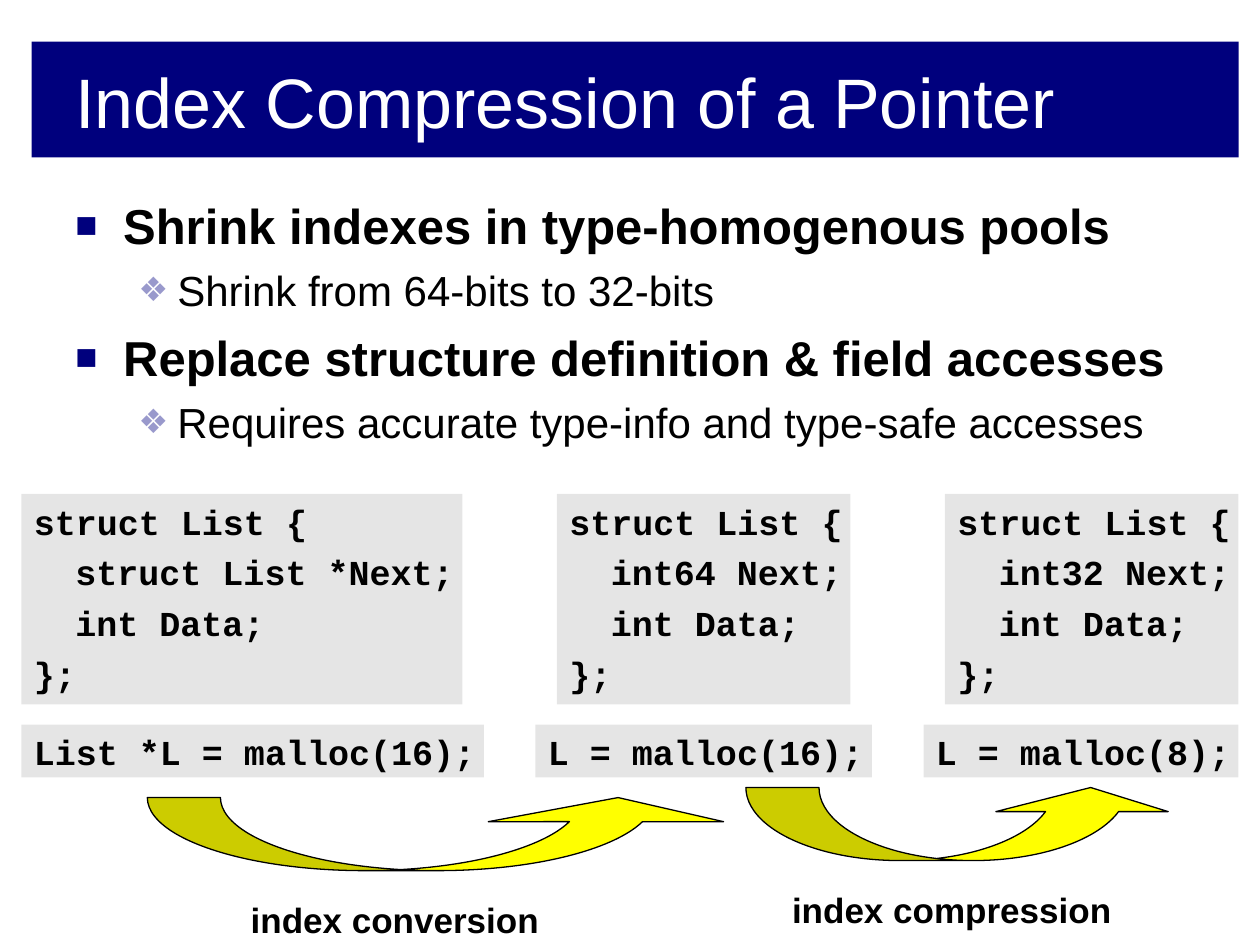
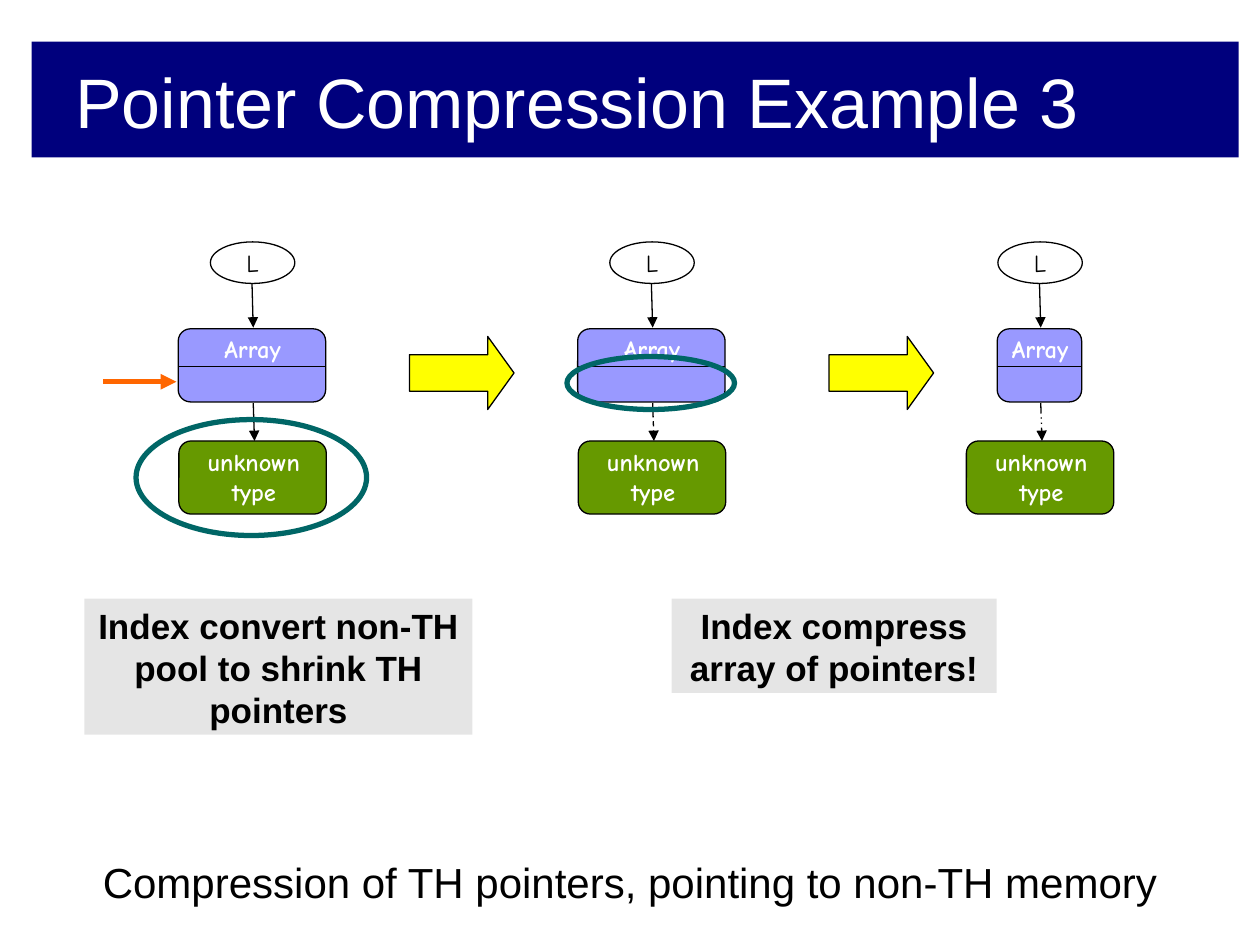
from lxml import etree
from pptx import Presentation
from pptx.dml.color import RGBColor
from pptx.enum.dml import MSO_LINE_DASH_STYLE as DASH
from pptx.enum.shapes import MSO_CONNECTOR as CONNECTOR, MSO_SHAPE as SHAPE
from pptx.enum.text import MSO_ANCHOR as ANCHOR, PP_ALIGN as ALIGN
from pptx.oxml.ns import qn
from pptx.util import Inches, Pt

NAVY, LAVENDER, PERIWINKLE = "00007D", "9999CC", "9999FF"
GREEN, TEAL, YELLOW, ORANGE = "669900", "006666", "FFFF00", "FF6600"
BLACK, WHITE = "000000", "FFFFFF"
SANS, HAND, CODE = "Arial", "Comic Neue", "Courier New"
CODE_INDENT = 0.33


def color(hex_string):
    """Turn a hex string into a colour."""
    return RGBColor.from_string(hex_string)


def add_child(parent, tag, **attributes):
    """Append a drawing element with the given attributes."""
    return etree.SubElement(parent, qn(tag), attributes)


def add_figure(slide, kind, box, fill=None, line=None, width=0.75, adjustments=()):
    """Add a preset shape with its fill and outline."""
    shape = slide.shapes.add_shape(kind, *map(Inches, box))
    shape.shadow.inherit = False
    for index, value in enumerate(adjustments):
        shape.adjustments[index] = value
    if fill:
        shape.fill.solid()
        shape.fill.fore_color.rgb = color(fill)
    else:
        shape.fill.background()
    if line:
        shape.line.color.rgb = color(line)
        shape.line.width = Pt(width)
    else:
        shape.line.fill.background()
    return shape


def add_panel(slide, box):
    """Add a rectangle of ten percent black."""
    panel = add_figure(slide, SHAPE.RECTANGLE, box, BLACK)
    tint = panel._element.spPr.find(qn("a:solidFill"))[0]
    add_child(tint, "a:alpha", val="10000")
    return panel


def add_text_box(slide, box):
    """Add an empty text box."""
    return slide.shapes.add_textbox(*map(Inches, box))


def add_paragraph(frame, text, size, font=SANS, ink=BLACK, bold=False,
                  align=ALIGN.LEFT, before=0):
    """Fill the empty first paragraph or append a new one."""
    paragraph = frame.paragraphs[0]
    if paragraph.runs:
        paragraph = frame.add_paragraph()
    paragraph.alignment = align
    paragraph.space_before = Pt(before)
    run = paragraph.add_run()
    run.text = text
    run.font.size, run.font.name, run.font.bold = Pt(size), font, bold
    run.font.color.rgb = color(ink)
    return paragraph


def write(shape, lines, size, anchor=ANCHOR.TOP, wrap=True, right=0.1, **style):
    """Write lines of one style into a shape."""
    frame = shape.text_frame
    frame.word_wrap = wrap
    frame.vertical_anchor = anchor
    frame.margin_right = Inches(right)
    return [add_paragraph(frame, line, size, **style) for line in lines]


def set_indent(paragraph, margin, hanging=0.0):
    """Set the left margin and the hanging indent."""
    properties = paragraph._p.get_or_add_pPr()
    properties.set("marL", str(Inches(margin)))
    properties.set("indent", str(-Inches(hanging)))
    return properties


def add_bullet(frame, text, level):
    """Add a bulleted line of the given level."""
    size, bold, before, margin, hanging, ink, scale, sign = (
        (28, True, 7, 0.38, 0.38, NAVY, "75000", "■"),
        (24, False, 6, 0.81, 0.31, LAVENDER, "80000", "❖"),
    )[level]
    paragraph = add_paragraph(frame, text, size, bold=bold, before=before)
    paragraph.level = level
    properties = set_indent(paragraph, margin, hanging)
    add_child(add_child(properties, "a:buClr"), "a:srgbClr", val=ink)
    add_child(properties, "a:buSzPct", val=scale)
    add_child(properties, "a:buFont", typeface=SANS)
    add_child(properties, "a:buChar", char=sign)


def add_line(slide, start, end, ink=BLACK, width=0.75, dash=None, arrow=True):
    """Draw a straight line, with an arrowhead at its end if wanted."""
    line = slide.shapes.add_connector(CONNECTOR.STRAIGHT, *map(Inches, start + end))
    line.line.color.rgb = color(ink)
    line.line.width = Pt(width)
    if dash:
        line.line.dash_style = dash
    properties = line._element.spPr
    if arrow:
        add_child(properties.find(qn("a:ln")), "a:tailEnd", type="triangle")
    add_child(properties, "a:effectLst")


def add_code(slide, left, top, width, height, lines):
    """Add a panel of code whose inner lines are indented."""
    panel = add_panel(slide, (left, top, width, height))
    paragraphs = write(panel, lines, 20, right=0, font=CODE, bold=True, before=5)
    for paragraph in paragraphs[1:-1]:
        set_indent(paragraph, CODE_INDENT)


def add_step(slide, box, caption, caption_box):
    """Add a curved arrow and the caption below it."""
    width, height = box[2:]
    shaft = 0.2 * width / height
    add_figure(slide, SHAPE.CURVED_UP_ARROW, box, YELLOW, BLACK,
               adjustments=(shaft, 2 * shaft, 0.33))
    write(add_text_box(slide, caption_box), [caption], 20, right=0, bold=True,
          align=ALIGN.CENTER, before=5)


def add_note(slide, box, text):
    """Add a panel with a bold centred remark."""
    write(add_panel(slide, box), [text], 20, bold=True, align=ALIGN.CENTER, before=5)


def add_pool(slide, center, array_width, dash=None):
    """Draw a root pointer, its array and the memory it points to."""
    left = center - array_width / 2
    add_figure(slide, SHAPE.ROUNDED_RECTANGLE, (left, 2.61, array_width, 0.58),
               PERIWINKLE, BLACK)
    add_line(slide, (left, 2.91), (left + array_width, 2.91), arrow=False)
    root = add_figure(slide, SHAPE.OVAL, (center - 0.33, 1.92, 0.67, 0.33), WHITE, BLACK)
    write(root, ["L"], 14, ANCHOR.MIDDLE, False, font=HAND, align=ALIGN.CENTER)
    add_line(slide, (center, 2.25), (center + 0.01, 2.6))
    add_line(slide, (center + 0.01, 3.2), (center + 0.02, 3.5), dash=dash)
    label = {"font": HAND, "ink": WHITE, "bold": True, "align": ALIGN.CENTER}
    write(add_text_box(slide, (center - 0.32, 2.6, 0.65, 0.34)), ["Array"], 14,
          wrap=False, **label)
    add_figure(slide, SHAPE.ROUNDED_RECTANGLE, (center - 0.58, 3.5, 1.17, 0.58),
               GREEN, BLACK)
    write(add_text_box(slide, (center - 0.5, 3.5, 1.03, 0.57)), ["unknown", "type"],
          14, **label)


def add_titled_slide(presentation, title):
    """Add a blank slide with the title band."""
    slide = presentation.slides.add_slide(presentation.slide_layouts[6])
    add_figure(slide, SHAPE.RECTANGLE, (0.25, 0.33, 9.58, 0.92), NAVY)
    write(add_text_box(slide, (0.5, 0.17, 9, 1.25)), [title], 40, ANCHOR.MIDDLE,
          ink=WHITE)
    return slide


def build_index_compression(presentation):
    """Build the slide on shrinking pointers to indexes."""
    slide = add_titled_slide(presentation, "Index Compression of a Pointer")
    frame = add_text_box(slide, (0.5, 1.5, 9, 5.25)).text_frame
    frame.word_wrap = True
    for level, text in (
        (0, "Shrink indexes in type-homogenous pools"),
        (1, "Shrink from 64-bits to 32-bits"),
        (0, "Replace structure definition & field accesses"),
        (1, "Requires accurate type-info and type-safe accesses"),
    ):
        add_bullet(frame, text, level)
    for left, width, field in ((0.17, 3.5, "struct List *Next;"),
                               (4.42, 2.33, "int64 Next;"),
                               (7.5, 2.33, "int32 Next;")):
        add_code(slide, left, 3.92, width, 1.67,
                 ["struct List {", field, "int Data;", "};"])
    for left, width, call in ((0.17, 3.67, "List *L = malloc(16);"),
                              (4.25, 2.67, "L = malloc(16);"),
                              (7.33, 2.5, "L = malloc(8);")):
        add_code(slide, left, 5.75, width, 0.42, [call])
    add_step(slide, (1.17, 6.33, 4.67, 0.58), "index conversion",
             (1.25, 7.08, 3.67, 0.42))
    add_step(slide, (5.92, 6.25, 3.42, 0.58), "index compression",
             (5.67, 7, 3.67, 0.42))


def build_example(presentation):
    """Build the slide with the three stages of an array of pointers."""
    slide = add_titled_slide(presentation, "Pointer Compression Example 3")
    add_pool(slide, 2, 1.17)
    add_pool(slide, 5.17, 1.17, DASH.DASH)
    add_pool(slide, 8.25, 0.67, DASH.DASH_DOT_DOT)
    add_note(slide, (0.67, 4.75, 3.08, 1.08),
             "Index convert non-TH pool to shrink TH pointers")
    add_note(slide, (5.33, 4.75, 2.58, 0.75), "Index compress array of pointers!")
    for highlight in ((1.08, 3.33, 1.83, 0.92), (4.5, 2.83, 1.33, 0.42)):
        add_figure(slide, SHAPE.OVAL, highlight, line=TEAL, width=3)
    for left in (3.25, 6.58):
        add_figure(slide, SHAPE.RIGHT_ARROW, (left, 2.67, 0.83, 0.58), YELLOW, BLACK,
                   adjustments=(0.5, 0.36))
    add_line(slide, (0.82, 3.03), (1.4, 3.03), ORANGE, 3)
    write(add_text_box(slide, (0, 6.75, 10, 0.5)),
          ["Compression of TH pointers, pointing to non-TH memory"], 24,
          align=ALIGN.CENTER)


def main():
    """Build and save the presentation."""
    presentation = Presentation()
    presentation.slide_width, presentation.slide_height = Inches(10), Inches(7.5)
    build_index_compression(presentation)
    build_example(presentation)
    presentation.save("out.pptx")


if __name__ == "__main__":
    main()
